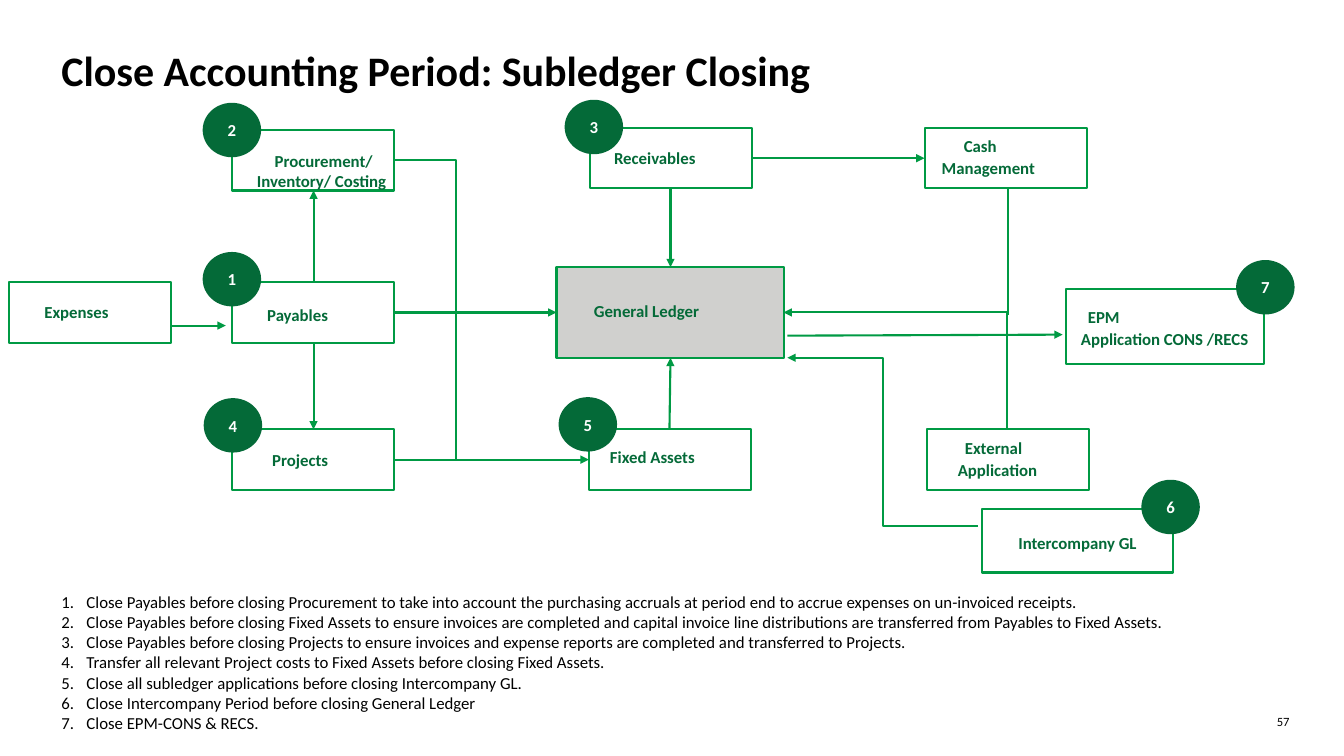
from lxml.etree import SubElement
from pptx import Presentation
from pptx.dml.color import RGBColor
from pptx.enum.shapes import MSO_CONNECTOR, MSO_SHAPE
from pptx.enum.text import MSO_ANCHOR, PP_ALIGN
from pptx.oxml.ns import qn
from pptx.util import Pt

PX = 9144
HUES = {"line": "009A44", "dark": "046A38", "gray": "D0D0CE",
        "black": "000000", "white": "FFFFFF"}

deck = Presentation()
deck.slide_width, deck.slide_height = 1333 * PX, 750 * PX
slide = deck.slides.add_slide(deck.slide_layouts[6])
shapes = slide.shapes


def hue(name):
    return RGBColor.from_string(HUES[name])


def write(shape, text, size, color, bold=False, inset=(10, 5),
          anchor=MSO_ANCHOR.TOP, align=PP_ALIGN.LEFT):
    frame = shape.text_frame
    frame.word_wrap = True
    frame.margin_left = frame.margin_right = inset[0] * PX
    frame.margin_top = frame.margin_bottom = inset[1] * PX
    frame.vertical_anchor = anchor
    frame.text = text
    for para in frame.paragraphs:
        para.alignment = align
        for run in para.runs:
            run.font.name = "Calibri"
            run.font.size = Pt(size)
            run.font.bold = bold
            run.font.color.rgb = hue(color)
    return frame.paragraphs


title = shapes.add_textbox(51 * PX, 39 * PX, 1231 * PX, 37 * PX)
write(title, "Close Accounting Period: Subledger Closing", 30, "black", True)

page = shapes.add_textbox(1245 * PX, 708 * PX, 34 * PX, 15 * PX)
write(page, "57", 9, "black", inset=(0, 0), align=PP_ALIGN.RIGHT)

steps = [
    "Close Payables before closing Procurement to take into account the purchasing accruals at period end to accrue expenses on un-invoiced receipts.",
    "Close Payables before closing Fixed Assets to ensure invoices are completed and capital invoice line distributions are transferred from Payables to Fixed Assets.",
    "Close Payables before closing Projects to ensure invoices and expense reports are completed and transferred to Projects.",
    "Transfer all relevant Project costs to Fixed Assets before closing Fixed Assets.",
    "Close all subledger applications before closing Intercompany GL.",
    "Close Intercompany Period before closing General Ledger",
    "Close EPM-CONS & RECS.",
]
notes = shapes.add_textbox(51 * PX, 582 * PX, 1193 * PX, 151 * PX)
for para in write(notes, "\n".join(steps), 12, "black"):
    props = para._p.get_or_add_pPr()
    props.set("marL", str(25 * PX))
    props.set("indent", str(-25 * PX))
    SubElement(props, qn("a:buFont"), typeface="+mj-lt")
    SubElement(props, qn("a:buAutoNum"), type="arabicPeriod")

boxes = [
    (9, 280, 161, 60), (230, 280, 161, 60), (230, 129, 161, 60),
    (585, 127, 161, 60), (230, 426, 161, 60), (584, 426, 161, 60),
    (917, 127, 161, 60), (919, 426, 161, 60), (552, 265, 226, 90),
    (1057, 287, 197, 74), (974, 505, 189, 63),
]
for spot in boxes:
    box = shapes.add_shape(MSO_SHAPE.RECTANGLE, *[n * PX for n in spot])
    box.shadow.inherit = False
    box.line.color.rgb = hue("line")
    box.line.width = Pt(1.5)
    if spot[2] == 226:
        box.fill.solid()
        box.fill.fore_color.rgb = hue("gray")
    else:
        box.fill.background()

flows = [
    (311, 280, 311, 189, "line", "tailEnd"),
    (391, 310, 552, 310, "line", "tailEnd"),
    (311, 340, 311, 426, "line", "tailEnd"),
    (391, 456, 584, 456, "line", "tailEnd"),
    (665, 187, 665, 265, "line", "tailEnd"),
    (664, 426, 665, 355, "line", "tailEnd"),
    (745, 157, 917, 157, "line", "tailEnd"),
    (391, 159, 452, 310, "bentConnector2", None),
    (393, 456, 452, 309, "bentConnector2", None),
    (1000, 187, 1000, 313, "line", None),
    (777, 310, 999, 426, "bentConnector2", "headEnd"),
    (781, 333, 1054, 332, "line", "tailEnd"),
    (970, 522, 781, 355, "bentConnector3", "tailEnd"),
    (171, 323, 224, 323, "line", "tailEnd"),
]
for *ends, kind, tip in flows:
    style = MSO_CONNECTOR.STRAIGHT if kind == "line" else MSO_CONNECTOR.ELBOW
    flow = shapes.add_connector(style, *[n * PX for n in ends])
    flow.line.color.rgb = hue("line")
    flow.line.width = Pt(1.5)
    props = flow._element.spPr
    props.find(qn("a:prstGeom")).set("prst", kind)
    if tip:
        SubElement(flow.line._get_or_add_ln(), qn("a:" + tip), type="triangle")
    SubElement(props, qn("a:effectLst"))

labels = [
    ("Expenses", 40, 296, 117, 28, [4]),
    ("Payables", 261, 299, 117, 28, [4]),
    ("Procurement/ Inventory/ Costing", 250, 132, 138, 62, [4]),
    ("Projects", 270, 443, 117, 28, [0]),
    ("Receivables", 605, 143, 128, 28, [4]),
    ("Fixed Assets", 601, 434, 128, 34, [4]),
    ("General Ledger", 589, 296, 162, 27, [0]),
    ("Cash\nManagement", 930, 133, 147, 48, [26, 4]),
    ("External\nApplication", 946, 433, 147, 48, [11, 4]),
    ("EPM\nApplication CONS /RECS", 1068, 296, 172, 55, [11, 4]),
    ("Intercompany GL", 999, 524, 147, 29, [11]),
]
for text, left, top, wide, high, dents in labels:
    label = shapes.add_textbox(left * PX, top * PX, wide * PX, high * PX)
    align = PP_ALIGN.CENTER if "Costing" in text else PP_ALIGN.LEFT
    paras = write(label, text, 12, "dark", True, (0, 5), MSO_ANCHOR.BOTTOM, align)
    for para, dent in zip(paras, dents):
        para._p.get_or_add_pPr().set("indent", str(dent * PX))
        if high < 35 and "GL" not in text:
            para.line_spacing = Pt(9)
        elif high < 60:
            para.space_after = Pt(1.2)

marks = [(201, 250), (201, 102), (560, 99), (202, 395),
         (554, 394), (1132, 476), (1226, 258)]
for rank, (left, top) in enumerate(marks, 1):
    mark = shapes.add_shape(MSO_SHAPE.OVAL, left * PX, top * PX, 58 * PX, 54 * PX)
    mark.shadow.inherit = False
    mark.fill.solid()
    mark.fill.fore_color.rgb = hue("dark")
    mark.line.fill.background()
    write(mark, str(rank), 12, "white", True, (0, 0),
          MSO_ANCHOR.MIDDLE, PP_ALIGN.CENTER)

deck.save("out.pptx")
